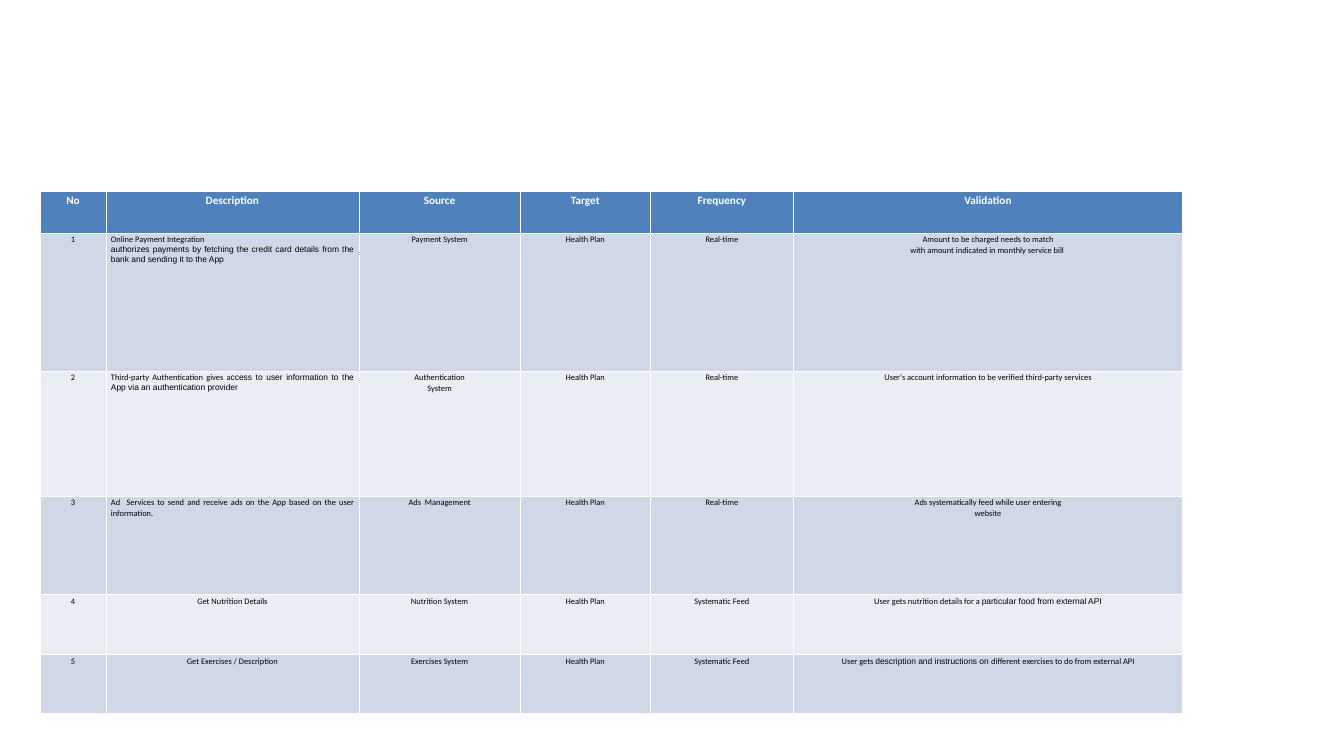
"""Build a slide with a table of the external interfaces of a health plan app."""
import copy
from dataclasses import dataclass

import lxml.etree
import pptx
import pptx.dml.color
import pptx.enum.text
import pptx.oxml.ns
import pptx.util

Inches = pptx.util.Inches
ALIGN = pptx.enum.text.PP_ALIGN


@dataclass(frozen=True)
class Theme:
    header_fill: str = "4F81BD"
    band_fills: tuple = ("D0D8E8", "E9EDF4")
    header_text: str = "FFFFFF"
    body_text: str = "000000"
    border: str = "FFFFFF"
    border_width: float = 0.5
    header_size: float = 8
    body_size: float = 6
    font: str = "Calibri"
    accent_font: str = "Arial"


THEME = Theme()
HEADINGS = ["No", "Description", "Source", "Target", "Frequency", "Validation"]
COLUMN_WIDTHS = [0.65, 2.51, 1.6, 1.29, 1.42, 3.86]
ROW_HEIGHTS = [0.41, 1.37, 1.24, 0.98, 0.59, 0.59]
JUSTIFIED_ROWS = (1, 2, 3)
DESCRIPTION_COLUMN = HEADINGS.index("Description")

INTERFACES = [
    [
        [
            ["Online Payment Integration"],
            [("authorizes payments by fetching the credit card details from the bank and sending it to the App",
              THEME.accent_font)],
        ],
        "Payment System",
        "Health Plan",
        "Real-time",
        "Amount to be charged needs to match\nwith amount indicated in monthly service bill ",
    ],
    [
        [[
            "Third-party Authentication gives a",
            ("ccess to user information to the App via an authentication provider", THEME.accent_font),
        ]],
        [["Authentication"], ["System"]],
        "Health Plan",
        "Real-time",
        "User's account information to be verified third-party services",
    ],
    [
        "Ad  Services to send and receive ads on the App based on the user information.",
        "Ads  Management",
        "Health Plan",
        "Real-time",
        "Ads systematically feed while user entering\nwebsite",
    ],
    [
        "Get Nutrition Details",
        "Nutrition System",
        "Health Plan",
        "Systematic Feed",
        [[
            "User gets nutrition details for a ",
            ("particular food from external API", THEME.accent_font),
        ]],
    ],
    [
        "Get Exercises / Description",
        "Exercises System",
        "Health Plan",
        "Systematic Feed",
        [[
            "User gets ",
            ("description and instructions on ", THEME.accent_font),
            "different exercises to do from external API",
        ]],
    ],
]


class SlideBuilder:
    def __init__(self, slide, theme):
        self.slide = slide
        self.theme = theme

    def add_run(self, paragraph, text, font_name, is_header):
        theme = self.theme
        font_format = {
            "name": font_name,
            "size": pptx.util.Pt(theme.header_size if is_header else theme.body_size),
            "bold": is_header,
        }
        color = theme.header_text if is_header else theme.body_text
        for index, line in enumerate(text.split("\n")):
            if index:
                paragraph.add_line_break()
                line_break = paragraph._p.findall(pptx.oxml.ns.qn("a:br"))[-1]
                line_break.append(copy.deepcopy(run.font._element))
            run = paragraph.add_run()
            run.text = line
            for name, value in font_format.items():
                setattr(run.font, name, value)
            run.font.color.rgb = pptx.dml.color.RGBColor.from_string(color)

    def write_cell(self, cell, content, alignment, is_header):
        paragraphs = [[content]] if isinstance(content, str) else content
        for index, runs in enumerate(paragraphs):
            frame = cell.text_frame
            paragraph = frame.add_paragraph() if index else frame.paragraphs[0]
            paragraph.alignment = alignment
            for item in runs:
                text, font_name = (item, self.theme.font) if isinstance(item, str) else item
                self.add_run(paragraph, text, font_name, is_header)

    def format_cell(self, cell, fill):
        margins = {
            "margin_left": Inches(0.05),
            "margin_right": Inches(0.05),
            "margin_top": Inches(0.02),
            "margin_bottom": Inches(0.02),
        }
        for name, value in margins.items():
            setattr(cell, name, value)
        cell.fill.solid()
        cell.fill.fore_color.rgb = pptx.dml.color.RGBColor.from_string(fill)
        qn = pptx.oxml.ns.qn
        properties = cell._tc.get_or_add_tcPr()
        for index, side in enumerate(("lnL", "lnR", "lnT", "lnB")):
            line = lxml.etree.Element(qn(f"a:{side}"), w=str(pptx.util.Pt(self.theme.border_width)))
            line_fill = lxml.etree.SubElement(line, qn("a:solidFill"))
            lxml.etree.SubElement(line_fill, qn("a:srgbClr"), val=self.theme.border)
            properties.insert(index, line)

    def add_table(self, left, top, column_widths, row_heights, rows):
        table = self.slide.shapes.add_table(
            len(row_heights), len(column_widths), Inches(left), Inches(top),
            Inches(sum(column_widths)), Inches(sum(row_heights)),
        ).table
        table.horz_banding = False
        for column, width in zip(table.columns, column_widths):
            column.width = Inches(width)
        for row_index, (row, height, contents) in enumerate(zip(table.rows, row_heights, rows)):
            row.height = Inches(height)
            is_header = row_index == 0
            band_fill = self.theme.band_fills[(row_index - 1) % 2]
            fill = self.theme.header_fill if is_header else band_fill
            for column_index, content in enumerate(contents):
                cell = table.cell(row_index, column_index)
                justified = column_index == DESCRIPTION_COLUMN and row_index in JUSTIFIED_ROWS
                alignment = ALIGN.JUSTIFY if justified else ALIGN.CENTER
                self.format_cell(cell, fill)
                self.write_cell(cell, content, alignment, is_header)


def main():
    presentation = pptx.Presentation()
    presentation.slide_width = Inches(13.33)
    presentation.slide_height = Inches(7.5)
    slide = presentation.slides.add_slide(presentation.slide_layouts[6])
    numbered = [[str(number), *cells] for number, cells in enumerate(INTERFACES, 1)]
    builder = SlideBuilder(slide, THEME)
    builder.add_table(0.4, 1.9, COLUMN_WIDTHS, ROW_HEIGHTS, [HEADINGS, *numbered])
    presentation.save("out.pptx")


if __name__ == "__main__":
    main()
